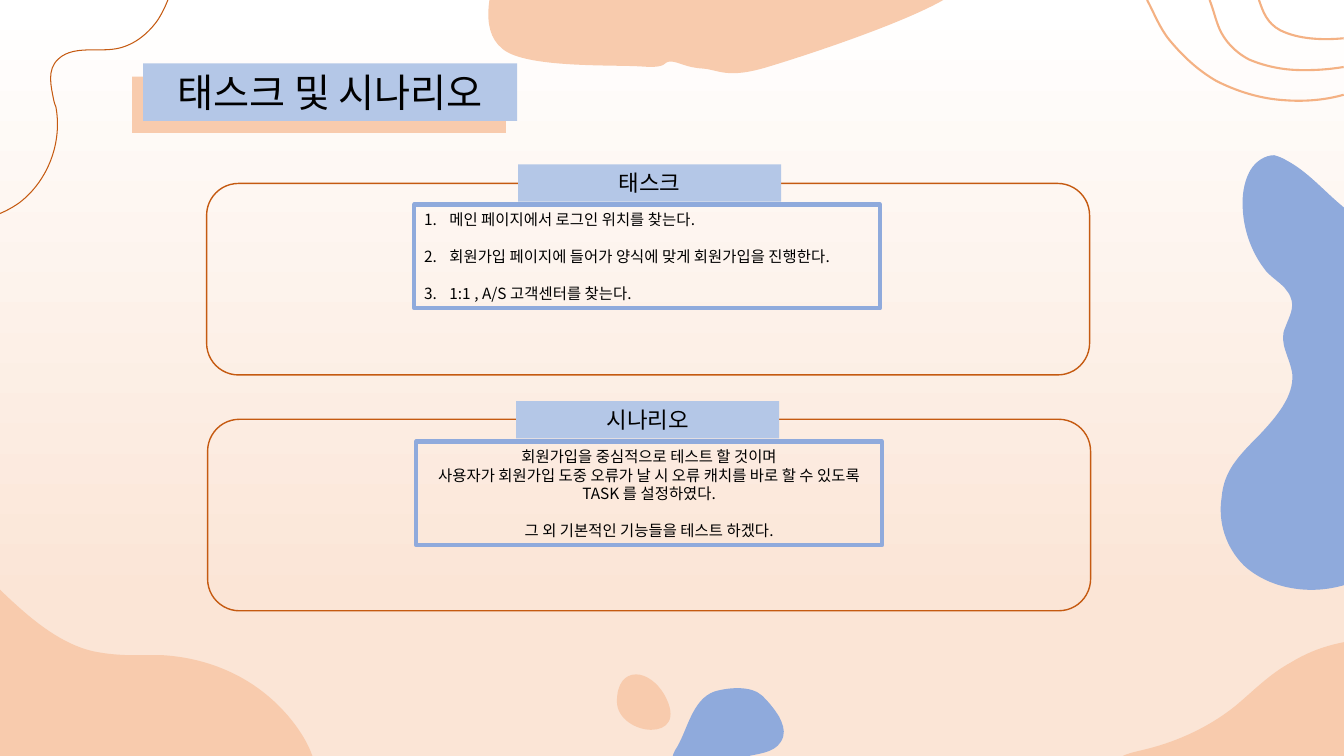
from lxml.etree import SubElement
from pptx import Presentation
from pptx.dml.color import RGBColor
from pptx.enum.shapes import MSO_SHAPE as Preset
from pptx.enum.text import MSO_ANCHOR as Anchor, PP_ALIGN as Align
from pptx.oxml.ns import qn
from pptx.util import Inches, Pt

# The slide is a grid of 1333 columns by 750 rows
UNIT = Inches(0.01)
FONT = "Noto Sans CJK KR"
color = RGBColor.from_string
BLUE, PALE_BLUE, PEACH = "8FAADC", "B4C7E7", "F8CBAD"
ORANGE, BROWN, BLACK = "F4B183", "C55A11", "000000"

presentation = Presentation()
presentation.slide_width = Inches(13.333)
presentation.slide_height = 750 * UNIT
slide = presentation.slides.add_slide(presentation.slide_layouts[6])


def paint(shape, fill=None, line=None, width=1):
    shape.shadow.inherit = False
    for part, value in ((shape.fill, fill), (shape.line.fill, line)):
        if value:
            part.solid()
            part.fore_color.rgb = color(value)
        else:
            part.background()
    if line:
        shape.line.width = Pt(width)
    return shape


def write(shape, lines, size, align=Align.CENTER, gaps=(), numbered=False):
    frame = shape.text_frame
    frame.word_wrap = True
    frame.vertical_anchor = Anchor.MIDDLE
    for index, line in enumerate(lines):
        paragraph = frame.paragraphs[0] if index == 0 else frame.add_paragraph()
        if numbered:
            properties = paragraph._p.get_or_add_pPr()
            properties.set("marL", str(25 * UNIT))
            properties.set("indent", str(-25 * UNIT))
            SubElement(properties, qn("a:buFont"), typeface="+mj-lt")
            SubElement(properties, qn("a:buAutoNum"), type="arabicPeriod")
        spacing = {"alignment": align, "line_spacing": Pt(1.2 * size),
                   "space_before": Pt(1.2 * size if index in gaps else 0)}
        for name, value in spacing.items():
            setattr(paragraph, name, value)
        run = paragraph.add_run()
        run.text = line
        for name, value in {"name": FONT, "size": Pt(size)}.items():
            setattr(run.font, name, value)
        run.font.color.rgb = color(BLACK)
        SubElement(run._r.get_or_add_rPr(), qn("a:ea"), typeface=FONT)


# Background fading from white to peach
background = slide.background.fill
background.gradient()
background.gradient_angle = 270
for stop, (position, tone) in zip(background.gradient_stops, ((0, "FFFFFF"), (0.8, "FBE5D6"))):
    stop.position = position
    stop.color.rgb = color(tone)

# Rounded frames
for left, top in ((206, 416), (205, 182)):
    frame_shape = slide.shapes.add_shape(
        Preset.ROUNDED_RECTANGLE, left * UNIT, top * UNIT, 876 * UNIT, 190 * UNIT)
    paint(frame_shape, line=BROWN)

# Curves: a start point, then two handles and an end point per segment
right_blob = """1370,240 1398,267 1422,297 1443,329 1461,355 1476,384 1472,417
    1469,438 1458,458 1445,477 1434,495 1421,513 1407,529 1385,556 1361,574 1328,582
    1295,590 1258,583 1234,561 1216,543 1208,518 1212,493 1213,481 1217,470 1224,460
    1231,450 1240,441 1249,432 1266,414 1284,393 1282,371 1280,355 1268,340 1275,325
    1279,314 1285,305 1280,294 1279,291 1276,288 1274,285 1269,280 1263,276 1259,272
    1258,271 1257,270 1256,269 1240,249 1231,222 1233,194 1234,185 1236,176 1241,168
    1246,160 1255,154 1264,154 1268,155 1273,157 1276,159 1297,170 1313,189 1331,204
    1345,216 1358,228 1370,240"""
right_hill = """1367,634 1394,634 1422,640 1447,652 1456,655 1465,660 1473,665
    1491,676 1508,690 1520,706 1530,719 1535,737 1530,752 1525,763 1516,773 1504,780
    1485,792 1464,799 1440,802 1413,806 1386,809 1359,812 1328,815 1297,817 1266,817
    1215,817 1165,811 1118,795 1109,791 1098,786 1096,778 1094,774 1095,770 1097,766
    1100,760 1105,754 1112,751 1119,747 1126,746 1134,744 1168,736 1200,721 1226,700
    1244,685 1259,669 1281,657 1307,641 1337,634 1367,634"""
inner_ring = "1333,38 1312,40 1288,39 1270,30 1257,23 1253,12 1249,0"
middle_ring = """1333,66.5 1318,69 1303,70 1287,69.5 1270,69 1253,65 1239,59
    1224,51 1215,40 1210,29 1206,20 1204,10 1200,0"""
outer_ring = """1333,94 1316,99 1295,101 1275,99.5 1249,98 1226,90 1207,80.5
    1187,69 1172,54 1160,39.5 1150,27 1145,13 1138,0"""
wave = """175.5,-26 170.5,-10 165.5,6 156.5,20 145.5,35.5 130.5,46 114.5,48.5
    109,49.5 103,49.5 96.5,49.5 95,49.5 93.5,49.5 92,49.5 79,49.5 66,50.5 57.5,59
    46.5,69.5 50.5,85 53.5,100 54,102 54.5,104 55.5,106 62,141 48,179 19.5,201
    2,213.5 -19,220 -40,220 -57,220 -73.5,216 -87,207.5"""
left_hill = """0,585 28,612 58,638 92,646 106,649 120,650 134,650 137,650 141,650 144,650
    150,650 156,650 162,650 208,653 255,672 289,714 297,724 305,736 310,750
    310,750 0,750 0,750"""
pebble = """631,669 641,669 652,677 659,689 673,714 661,724 646,724
    631,724 612,713 612,696 612,678 620,669 631,669"""
bottom_blob = """674,770 671,767 669,764 668,759 666,754 667,749 670,744
    682,726 686,694 709,686 723,682 745,680 756,690 757,690 757,691 757,691
    763,697 768,703 773,711 776,717 779,724 777,731 772,746 757,747 743,750
    734,751 725,753 719,757 711,764 705,773 693,775 686,777 679,775 674,770"""
top_blob = """951,-10 921,15 806,53 763,66 721,79 713,69 697,68 681,67 675,62 666,61
    656,61 665,68 637,66 609,64 520,68 498,48 475,29 485,-11 501,-53
    580,-150 624,-126 820,-109 936,-114 951,-65 951,-10"""

decorations = [
    (right_blob, {"fill": BLUE}),
    (right_hill, {"fill": PEACH}),
    (inner_ring, {"line": ORANGE, "width": 1.5}),
    (middle_ring, {"line": ORANGE, "width": 1.5}),
    (outer_ring, {"line": ORANGE, "width": 1.5}),
    (wave, {"line": BROWN, "width": 0.75}),
    (left_hill, {"fill": PEACH}),
    (pebble, {"fill": PEACH}),
    (bottom_blob, {"fill": BLUE}),
    (top_blob, {"fill": PEACH}),
]
for curve, style in decorations:
    start, *knots = [tuple(float(value) * UNIT for value in pair.split(","))
                     for pair in curve.split()]
    builder = slide.shapes.build_freeform(*start)
    builder.add_line_segments(knots, close="fill" in style)
    shape = paint(builder.convert_to_shape(), **style)
    # Join every three points into one Bézier segment
    segments = list(shape._element.iter(qn("a:lnTo")))
    for first, second, third in zip(segments[::3], segments[1::3], segments[2::3]):
        first.tag = qn("a:cubicBezTo")
        for extra in (second, third):
            first.append(extra[0])
            extra.getparent().remove(extra)

# Title, section labels and text boxes
outline = {"line": BLUE, "width": 3}
label = {"fill": PALE_BLUE}
tasks = ["메인 페이지에서 로그인 위치를 찾는다.",
         "회원가입 페이지에 들어가 양식에 맞게 회원가입을 진행한다.",
         "1:1 , A/S 고객센터를 찾는다."]
scenario = ["회원가입을 중심적으로 테스트 할 것이며",
            "사용자가 회원가입 도중 오류가 날 시 오류 캐치를 바로 할 수 있도록 TASK 를 설정하였다.",
            "그 외 기본적인 기능들을 테스트 하겠다."]
boxes = [
    ((411, 203, 462, 103), outline, tasks, 11,
     {"align": Align.LEFT, "gaps": (1, 2), "numbered": True}),
    ((131, 76, 371, 56), {"fill": PEACH}, [], 28, {}),
    ((142, 63, 371, 57), label, ["태스크 및 시나리오"], 28, {}),
    ((413, 438, 462, 103), outline, scenario, 11, {"gaps": (2,)}),
    ((514, 163, 261, 37), label, ["태스크"], 16, {}),
    ((512, 398, 261, 37), label, ["시나리오"], 16, {}),
]
for place, style, lines, size, options in boxes:
    box = slide.shapes.add_shape(Preset.RECTANGLE, *(value * UNIT for value in place))
    write(paint(box, **style), lines, size, **options)

presentation.save("out.pptx")
